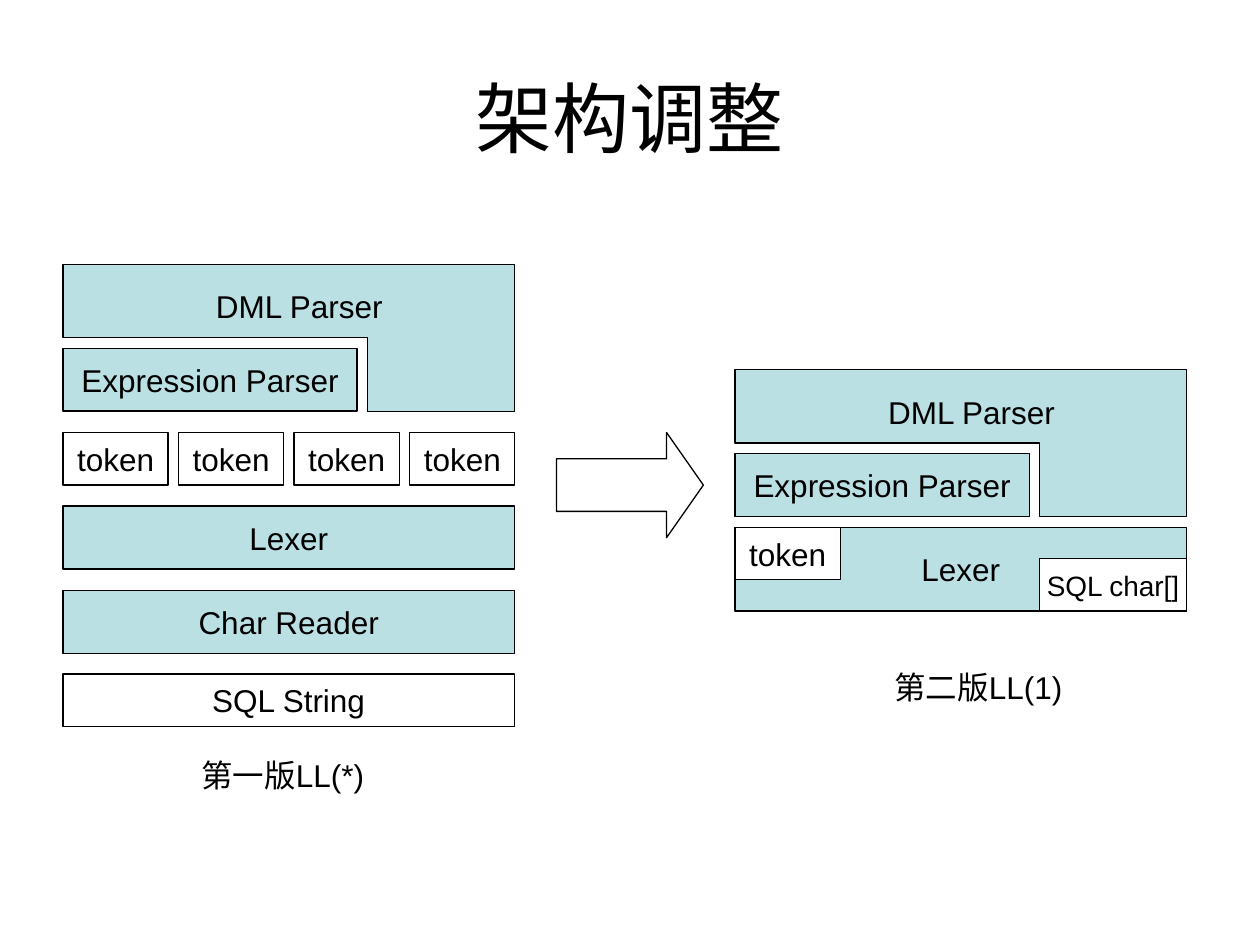
import pptx
import pptx.util
import pptx.dml.color
import pptx.enum.shapes
import pptx.enum.text

Cm = pptx.util.Cm
Pt = pptx.util.Pt
SHAPE = pptx.enum.shapes.MSO_SHAPE
ALIGN = pptx.enum.text.PP_ALIGN
ANCHOR = pptx.enum.text.MSO_ANCHOR
AUTO = pptx.enum.text.MSO_AUTO_SIZE

COLORS = {"ink": "000000", "block": "BBE0E3", "paper": "FFFFFF"}
LABEL = {"name": "Arial", "size": Pt(18)}
SMALL = {"name": "Arial", "size": Pt(16)}
TITLE = {"name": "Arial", "size": Pt(44)}
STACK_W = 9.1
TOKEN_W, TOKEN_H, TOKEN_STEP = 2.12, 1.06, 2.33
ROW_H = 1.27
LEFT_X, RIGHT_X = 1.27, 14.82


def rgb(name):
    return pptx.dml.color.RGBColor.from_string(COLORS[name])


def lengths(*values):
    return [Cm(v) for v in values]


def write(sp, text, fmt=LABEL, align=ALIGN.CENTER, anchor=ANCHOR.MIDDLE, wrap=False):
    tf = sp.text_frame
    tf.word_wrap = wrap
    tf.vertical_anchor = anchor
    p = tf.paragraphs[0]
    p.alignment = align
    r = p.add_run()
    r.text = text
    for key, value in fmt.items():
        setattr(r.font, key, value)
    r.font.color.rgb = rgb("ink")


def paint(sp, fill):
    sp.shadow.inherit = False
    if fill:
        sp.fill.solid()
        sp.fill.fore_color.rgb = rgb(fill)
    else:
        sp.fill.background()
    sp.line.color.rgb = rgb("ink")
    sp.line.width = Pt(0.75)


def add_title(s, text):
    sp = s.shapes.title
    sp.left, sp.top, sp.width, sp.height = lengths(1.27, 0.76, 22.86, 3.18)
    write(sp, text, TITLE, wrap=True)


def add_box(s, text, x, y, w, h, fill=None, fmt=LABEL):
    sp = s.shapes.add_shape(SHAPE.RECTANGLE, *lengths(x, y, w, h))
    paint(sp, fill)
    write(sp, text, fmt)


def add_parsers(s, x, y):
    corners = [(6.14, 1.48), (0, 1.48), (0, 0), (STACK_W, 0), (STACK_W, 2.96)]
    fb = s.shapes.build_freeform(Cm(x + 6.14), Cm(y + 2.96))
    fb.add_line_segments([lengths(x + dx, y + dy) for dx, dy in corners], close=True)
    paint(fb.convert_to_shape(), "block")
    add_box(s, "Expression Parser", x, y + 1.69, 5.93, ROW_H, "block")
    label = s.shapes.add_textbox(*lengths(x + 2.12, y + 0.21, 5.29, ROW_H))
    write(label, "DML Parser")


def add_caption(s, text, x, y):
    sp = s.shapes.add_textbox(*lengths(x, y, 4.11, 1.02))
    write(sp, text, align=ALIGN.LEFT, anchor=ANCHOR.TOP, wrap=True)
    sp.text_frame.auto_size = AUTO.SHAPE_TO_FIT_TEXT


def add_arrow(s, x, y, w, h):
    sp = s.shapes.add_shape(SHAPE.RIGHT_ARROW, *lengths(x, y, w, h))
    sp.adjustments[0] = 0.5
    sp.adjustments[1] = 0.35
    paint(sp, None)


def add_first_version(s):
    add_parsers(s, LEFT_X, 5.33)
    for i in range(4):
        add_box(s, "token", LEFT_X + i * TOKEN_STEP, 8.72, TOKEN_W, TOKEN_H)
    add_box(s, "Lexer", LEFT_X, 10.2, STACK_W, ROW_H, "block")
    add_box(s, "Char Reader", LEFT_X, 11.9, STACK_W, ROW_H, "block")
    add_box(s, "SQL String", LEFT_X, 13.59, STACK_W, TOKEN_H)
    add_caption(s, "第一版LL(*)", 3.81, 15.11)


def add_second_version(s):
    add_parsers(s, RIGHT_X, 7.45)
    add_box(s, "Lexer", RIGHT_X, 10.63, STACK_W, 1.69, "block")
    add_box(s, "token", RIGHT_X, 10.63, TOKEN_W, TOKEN_H, "paper")
    add_box(s, "SQL char[]", RIGHT_X + 6.14, 11.26, 2.96, TOKEN_H, "paper", SMALL)
    add_caption(s, "第二版LL(1)", 17.78, 13.34)


def main():
    prs = pptx.Presentation()
    prs.slide_width, prs.slide_height = lengths(25.4, 19.05)
    s = prs.slides.add_slide(prs.slide_layouts[5])
    add_title(s, "架构调整")
    add_first_version(s)
    add_arrow(s, 11.22, 8.72, 2.96, 2.12)
    add_second_version(s)
    prs.save("out.pptx")


if __name__ == "__main__":
    main()
